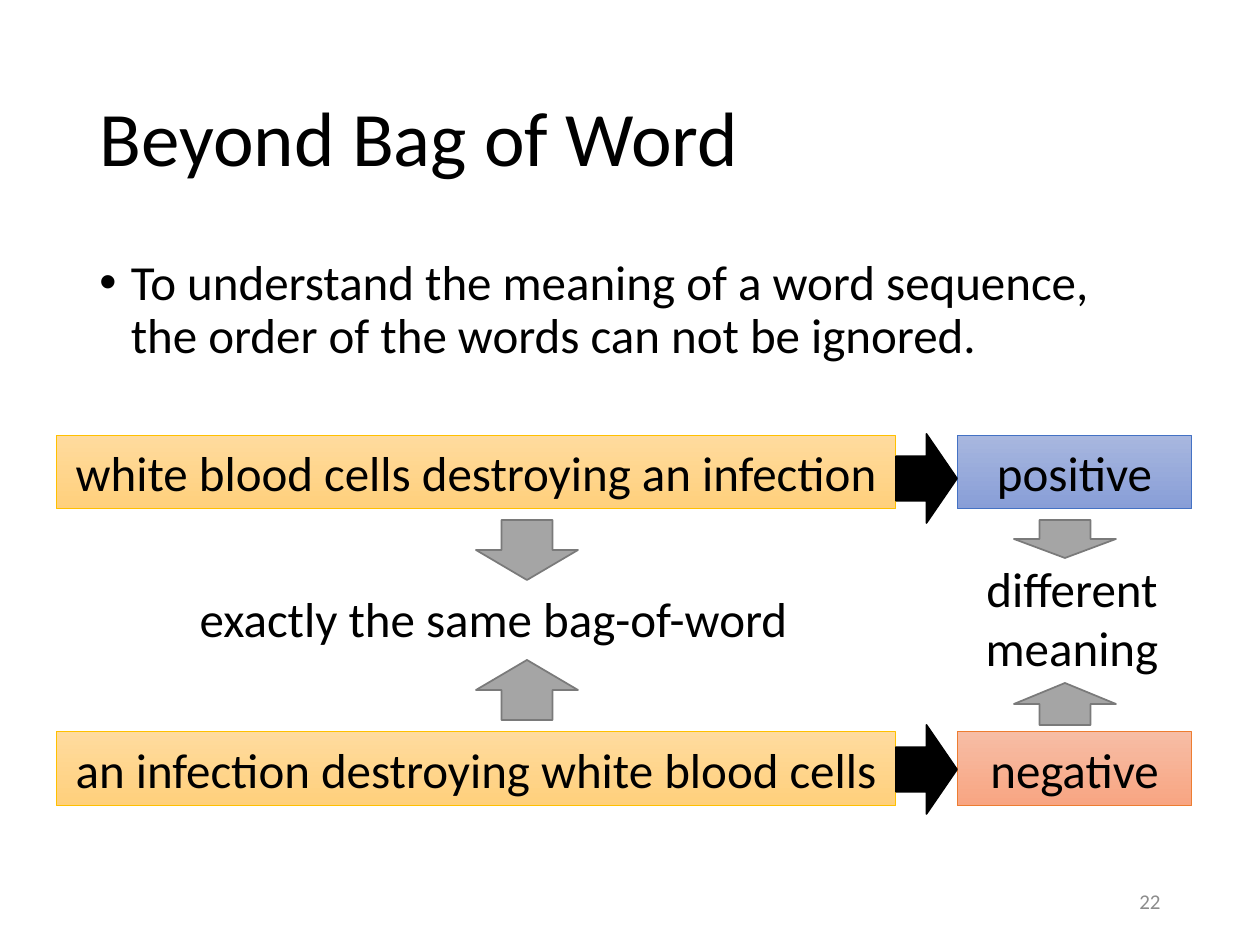
from pptx import Presentation
from pptx import util as u
from pptx.dml import color
from pptx.enum import shapes, text
from pptx.oxml import parse_xml
from pptx.oxml.ns import nsdecls

SCALE = 914400 / 126
FONT = "Calibri"
BLACK, GRAY = "000000", "A5A5A5"
ORANGE = ("FFDB9E", "FFD07C", "FFC000")
BLUE = ("A8B7DF", "889ED7", "4472C4")
RED = ("F7BDA5", "F8A582", "ED7D31")
LEFT, CENTER, RIGHT = text.PP_ALIGN.LEFT, text.PP_ALIGN.CENTER, text.PP_ALIGN.RIGHT
TOP, MIDDLE = text.MSO_ANCHOR.TOP, text.MSO_ANCHOR.MIDDLE
ARROWS = shapes.MSO_SHAPE


def px(*lengths):
    """Turn px lengths into EMU."""
    return [u.Emu(round(length * SCALE)) for length in lengths]


def rgb(value):
    """Turn a hex string into a colour."""
    return color.RGBColor.from_string(value)


def write(shape, words, size=28, tint=BLACK, align=CENTER, anchor=MIDDLE, **spacing):
    """Write one formatted paragraph per line of words."""
    frame = shape.text_frame
    frame.word_wrap = True
    frame.auto_size = text.MSO_AUTO_SIZE.NONE
    frame.vertical_anchor = anchor
    frame.text = words
    for para in frame.paragraphs:
        for name, value in {"alignment": align, **spacing}.items():
            setattr(para, name, value)
        for span in para.runs:
            for name, value in {"name": FONT, "size": u.Pt(size)}.items():
                setattr(span.font, name, value)
            span.font.color.rgb = rgb(tint)


def add_label(page, at, words, **formats):
    """Add a text box."""
    box = page.shapes.add_textbox(*px(*at))
    write(box, words, **formats)
    return box


def add_bullet(page, at, words):
    """Add a text box with one bulleted paragraph."""
    box = add_label(page, at, words, align=LEFT, anchor=TOP,
                    line_spacing=0.9, space_before=u.Pt(10))
    props = box.text_frame.paragraphs[0]._p.get_or_add_pPr()
    indent = u.Inches(0.25)
    props.set("marL", str(indent))
    props.set("indent", str(-indent))
    for tag in ('buFont {} typeface="Arial"', 'buChar {} char="•"'):
        props.append(parse_xml(f"<a:{tag.format(nsdecls('a'))}/>"))


def add_outlined(page, kind, at, outline, width):
    """Add a preset shape with an outline and no shadow."""
    shape = page.shapes.add_shape(kind, *px(*at))
    shape.shadow.inherit = False
    shape.line.color.rgb = rgb(outline)
    shape.line.width = u.Pt(width)
    return shape


def add_phrase(page, at, words, tints):
    """Add a rectangle with a downward gradient and centred words."""
    start, end, outline = tints
    box = add_outlined(page, shapes.MSO_SHAPE.RECTANGLE, at, outline, 0.5)
    box.fill.gradient()
    box.fill.gradient_angle = 270
    for stop, tint, position in zip(box.fill.gradient_stops, (start, end), (0, 1)):
        stop.color.rgb = rgb(tint)
        stop.position = position
    write(box, words)


def add_arrow(page, kind, at, tint, outline):
    """Add a solid block arrow."""
    arrow = add_outlined(page, kind, at, outline, 1)
    arrow.fill.solid()
    arrow.fill.fore_color.rgb = rgb(tint)


def main():
    """Build the slide and save it."""
    deck = Presentation()
    deck.slide_width, deck.slide_height = px(1260, 945)
    page = deck.slides.add_slide(deck.slide_layouts[5])
    title = page.shapes.title
    title.left, title.top, title.width, title.height = px(87, 50, 1086, 183)
    write(title, "Beyond Bag of Word", size=44, align=LEFT, line_spacing=0.9)
    add_bullet(page, (87, 252, 1086, 600),
               "To understand the meaning of a word sequence, "
               "the order of the words can not be ignored.")

    rows = [
        (435, 434, "white blood cells destroying an infection", "positive", BLUE),
        (732, 725, "an infection destroying white blood cells", "negative", RED),
    ]
    for top, arrow_top, phrase, verdict, tints in rows:
        add_phrase(page, (56, top, 840, 74), phrase, ORANGE)
        add_phrase(page, (957, top, 235, 74), verdict, tints)
        add_arrow(page, ARROWS.RIGHT_ARROW, (896, arrow_top, 61, 89), BLACK, BLACK)

    add_label(page, (185, 582, 617, 72), "exactly the same bag-of-word", anchor=TOP)
    add_label(page, (939, 552, 266, 131), "different\nmeaning", anchor=TOP)
    pointers = [
        (ARROWS.DOWN_ARROW, 476, 520, 60),
        (ARROWS.UP_ARROW, 476, 660, 60),
        (ARROWS.DOWN_ARROW, 1014, 520, 38),
        (ARROWS.UP_ARROW, 1014, 683, 42),
    ]
    for kind, left, top, height in pointers:
        add_arrow(page, kind, (left, top, 102, height), GRAY, "7A7A7A")

    add_label(page, (890, 876, 283, 50), "22", size=12, tint="8C8C8C", align=RIGHT)
    deck.save("out.pptx")


if __name__ == "__main__":
    main()
